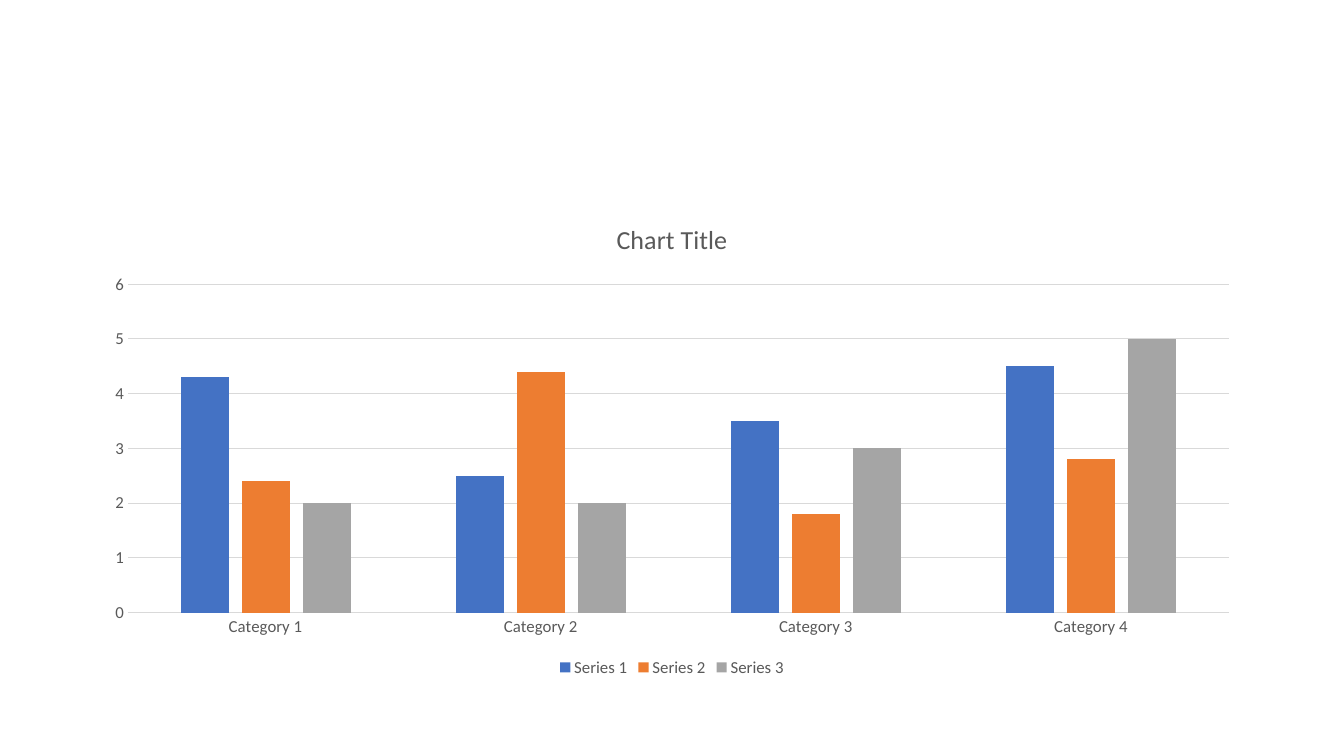
import dataclasses

import pptx
import pptx.chart.data
import pptx.dml.color
import pptx.enum.chart
import pptx.util

RGBColor = pptx.dml.color.RGBColor
BLUE = RGBColor(0x44, 0x72, 0xC4)
ORANGE = RGBColor(0xED, 0x7D, 0x31)
GRAY = RGBColor(0xA5, 0xA5, 0xA5)
INK = RGBColor(0x59, 0x59, 0x59)
RULE = RGBColor(0xD9, 0xD9, 0xD9)
FACE = "Calibri"


@dataclasses.dataclass(frozen=True)
class Series:
    name: str
    vals: tuple[float, ...]
    color: RGBColor


GROUPS = [f"Category {n}" for n in range(1, 5)]
SERIES = [
    Series("Series 1", (4.3, 2.5, 3.5, 4.5), BLUE),
    Series("Series 2", (2.4, 4.4, 1.8, 2.8), ORANGE),
    Series("Series 3", (2, 2, 3, 5), GRAY),
]


def style(font, size: float) -> None:
    font.name = FACE
    font.size = pptx.util.Pt(size)
    font.bold = False
    font.color.rgb = INK


def rule(line) -> None:
    line.color.rgb = RULE
    line.width = pptx.util.Pt(0.75)


def add_bars(slide, left: int, top: int, width: int, height: int):
    data = pptx.chart.data.CategoryChartData()
    data.categories = GROUPS
    for item in SERIES:
        data.add_series(item.name, item.vals)
    kind = pptx.enum.chart.XL_CHART_TYPE.COLUMN_CLUSTERED
    chart = slide.shapes.add_chart(kind, left, top, width, height, data).chart
    style(chart.font, 12)

    # Columns
    plot = chart.plots[0]
    plot.vary_by_categories = False
    plot.gap_width = 219
    plot.overlap = -27
    for bars, item in zip(plot.series, SERIES):
        bars.invert_if_negative = False
        bars.format.fill.solid()
        bars.format.fill.fore_color.rgb = item.color
    return chart


def set_title(chart, text: str) -> None:
    chart.has_title = True
    frame = chart.chart_title.text_frame
    frame.text = text
    style(frame.paragraphs[0].runs[0].font, 18.6)
    chart.chart_title.include_in_layout = False


def set_axes(chart) -> None:
    for axis in (chart.category_axis, chart.value_axis):
        axis.major_tick_mark = pptx.enum.chart.XL_TICK_MARK.NONE
        axis.minor_tick_mark = pptx.enum.chart.XL_TICK_MARK.NONE
        style(axis.tick_labels.font, 12)
    rule(chart.category_axis.format.line)
    scale = chart.value_axis
    scale.minimum_scale, scale.maximum_scale, scale.major_unit = 0, 6, 1
    scale.format.line.fill.background()
    rule(scale.major_gridlines.format.line)


def set_legend(chart) -> None:
    chart.has_legend = True
    chart.legend.position = pptx.enum.chart.XL_LEGEND_POSITION.BOTTOM
    chart.legend.include_in_layout = False
    style(chart.legend.font, 12)


# Slide
deck = pptx.Presentation()
deck.slide_width = pptx.util.Inches(13.33)
deck.slide_height = pptx.util.Inches(7.5)
slide = deck.slides.add_slide(deck.slide_layouts[6])

# Chart, centred between equal side margins
width = pptx.util.Inches(11.5)
left = (deck.slide_width - width) // 2
chart = add_bars(slide, left, pptx.util.Inches(2), width, pptx.util.Inches(4.76))
set_title(chart, "Chart Title")
set_axes(chart)
set_legend(chart)

deck.save("out.pptx")
